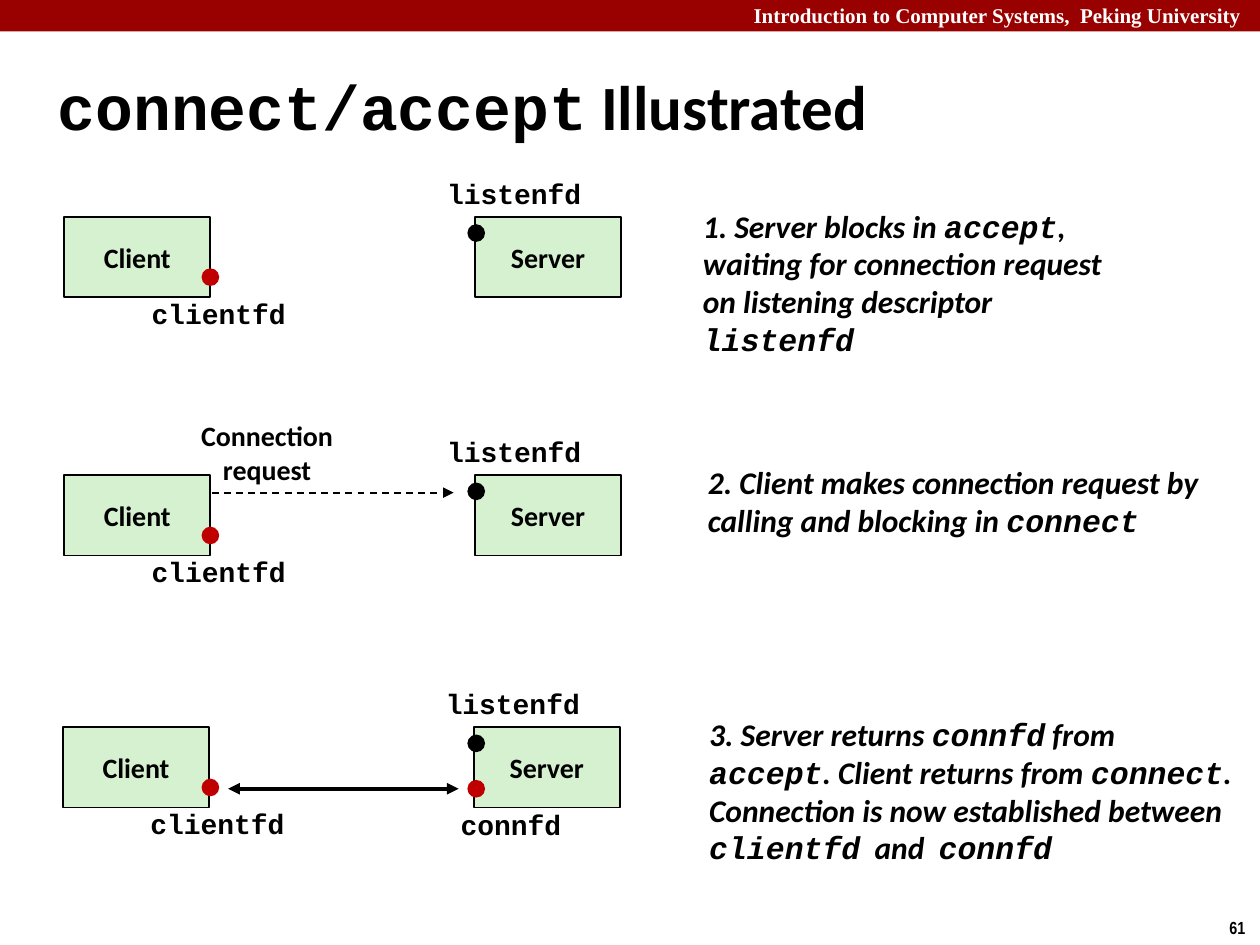
from dataclasses import dataclass

from lxml import etree
from pptx import Presentation
from pptx.dml.color import RGBColor
from pptx.enum import dml, shapes, text
from pptx.oxml import ns
from pptx.util import Inches, Pt


@dataclass(frozen=True)
class Theme:
    banner: str = "990000"
    box: str = "D5F1CF"
    ink: str = "000000"
    paper: str = "FFFFFF"
    active: str = "C00000"
    body: str = "Calibri"
    code: str = "Courier New"
    header: str = "Times New Roman"
    number: str = "Arial Narrow"
    title_size: int = 36
    note_size: int = 18
    label_size: int = 16
    header_size: int = 12
    number_size: int = 10


theme = Theme()
LEFT, CENTER, RIGHT = text.PP_ALIGN.LEFT, text.PP_ALIGN.CENTER, text.PP_ALIGN.RIGHT
MIDDLE, TOP = text.MSO_ANCHOR.MIDDLE, text.MSO_ANCHOR.TOP

deck = Presentation()
deck.slide_width, deck.slide_height = Inches(10), Inches(7.5)
page = deck.slides.add_slide(deck.slide_layouts[6])


def write(words, left, top, width, height, size, font=theme.body, color=theme.ink,
          align=CENTER, anchor=MIDDLE, wrap=False, italic=False, box=None):
    if box is None:
        box = page.shapes.add_textbox(*map(Inches, (left, top, width, height)))
        box.text_frame.auto_size = text.MSO_AUTO_SIZE.SHAPE_TO_FIT_TEXT
    frame = box.text_frame
    frame.word_wrap = wrap
    frame.vertical_anchor = anchor
    for index, line in enumerate(words.split("\n")):
        para = frame.add_paragraph() if index else frame.paragraphs[0]
        para.alignment = align
        for part, piece in enumerate(line.split("`")):
            if piece:
                span = para.add_run()
                span.text = piece
                span.font.name = theme.code if part % 2 else font
                span.font.size = Pt(size)
                span.font.bold = True
                span.font.italic = italic
                span.font.color.rgb = RGBColor.from_string(color)


def draw(kind, left, top, width, height, fill, outlined=False):
    shape = page.shapes.add_shape(kind, *map(Inches, (left, top, width, height)))
    shape.shadow.inherit = False
    shape.fill.solid()
    shape.fill.fore_color.rgb = RGBColor.from_string(fill)
    if outlined:
        shape.line.color.rgb = RGBColor.from_string(theme.ink)
        shape.line.width = Pt(1)
    else:
        shape.line.fill.background()
    return shape


RECTANGLE, OVAL = shapes.MSO_SHAPE.RECTANGLE, shapes.MSO_SHAPE.OVAL

draw(RECTANGLE, 0, 0, 10, 0.25, theme.banner)
write("Introduction to Computer Systems,  Peking University ", 4.75, -0.03, 5.24, 0.3,
      theme.header_size, theme.header, theme.paper, RIGHT, TOP, wrap=True)
write("61", 9.66, 7.23, 0.34, 0.27, theme.number_size, theme.number, align=LEFT, anchor=TOP)
write("`connect/accept` Illustrated", 0.36, 0.52, 9.17, 0.63, theme.title_size,
      align=LEFT, wrap=True)

steps = [
    (0.51, 1.72, 5.48, 1.59, 3.6, 1.3,
     "1. Server blocks in `accept`, waiting for connection request "
     "on listening descriptor `listenfd`"),
    (0.51, 3.77, 5.52, 3.62, 4.23, 0.71,
     "2. Client makes connection request by calling and blocking in `connect`"),
    (0.5, 5.77, 5.53, 5.62, 4.39, 1.31,
     "3. Server returns `connfd` from `accept`. Client returns from `connect`. "
     "Connection is now established between `clientfd`  and  `connfd`"),
]
for left, top, note_left, note_top, note_width, note_height, note in steps:
    for name, box_left in (("Client", left), ("Server", left + 3.26)):
        box = draw(RECTANGLE, box_left, top, 1.16, 0.64, theme.box, outlined=True)
        write(name, 0, 0, 0, 0, theme.label_size, box=box)
    write("`listenfd`", left + 2.93, top - 0.37, 1.28, 0.37, theme.label_size)
    write("`clientfd`", left + 0.59, top + 0.58, 1.27, 0.37, theme.label_size)
    write(note, note_left, note_top, note_width, note_height, theme.note_size,
          align=LEFT, wrap=True, italic=True)
    draw(OVAL, 1.6, top + 0.41, 0.14, 0.14, theme.active)
    draw(OVAL, 3.71, top + 0.06, 0.14, 0.14, theme.ink)

write("Connection\nrequest", 1.49, 3.27, 1.26, 0.64, theme.label_size)
write("`connfd`", 3.55, 6.36, 1.01, 0.37, theme.label_size)
draw(OVAL, 3.71, 6.19, 0.14, 0.14, theme.active)

arrows = [
    (1.68, 3.6, 3.91, 1, dml.MSO_LINE.DASH, ["a:tailEnd"]),
    (1.81, 3.64, 6.26, 2.25, dml.MSO_LINE.SOLID, ["a:headEnd", "a:tailEnd"]),
]
for start, end, level, weight, dash, ends in arrows:
    arrow = page.shapes.add_connector(
        shapes.MSO_CONNECTOR.STRAIGHT, *map(Inches, (start, level, end, level)))
    arrow.line.color.rgb = RGBColor.from_string(theme.ink)
    arrow.line.width = Pt(weight)
    arrow.line.dash_style = dash
    for tip in ends:
        etree.SubElement(arrow.line._get_or_add_ln(), ns.qn(tip), type="triangle")
    etree.SubElement(arrow._element.spPr, ns.qn("a:effectLst"))

deck.save("out.pptx")
